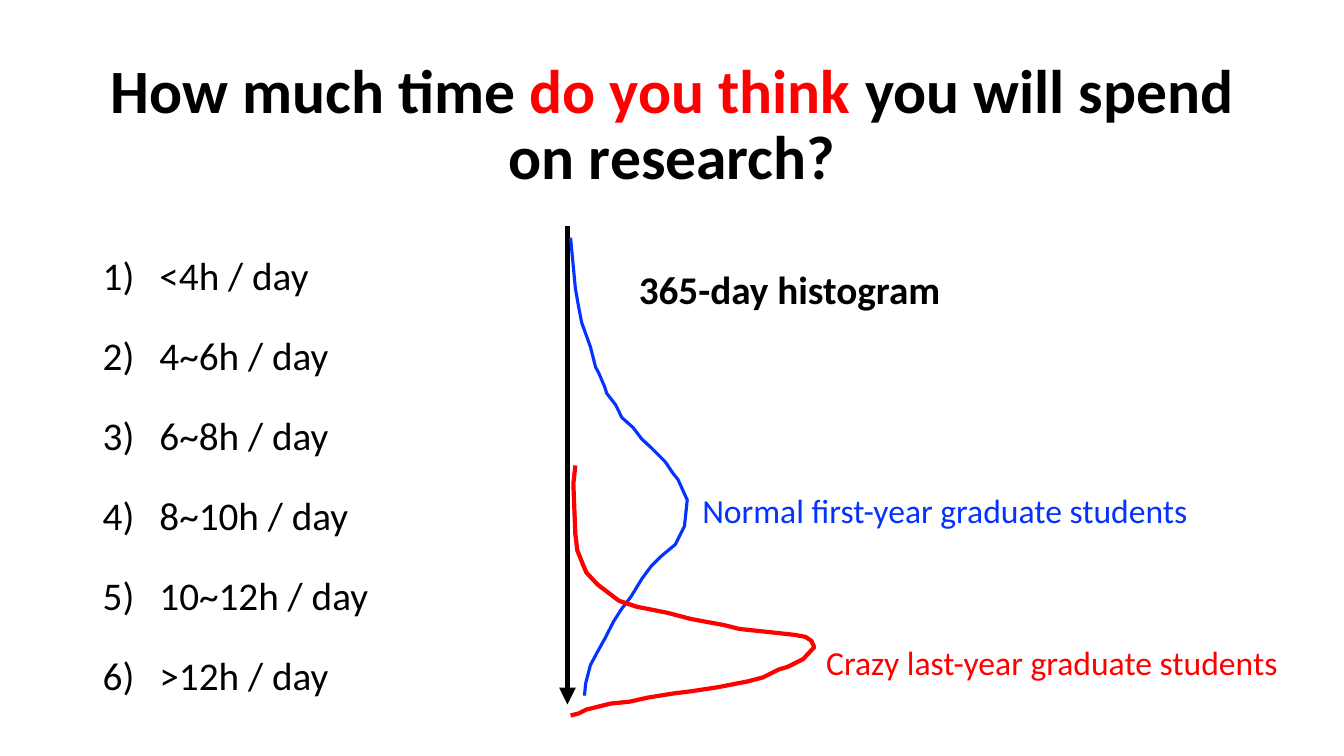
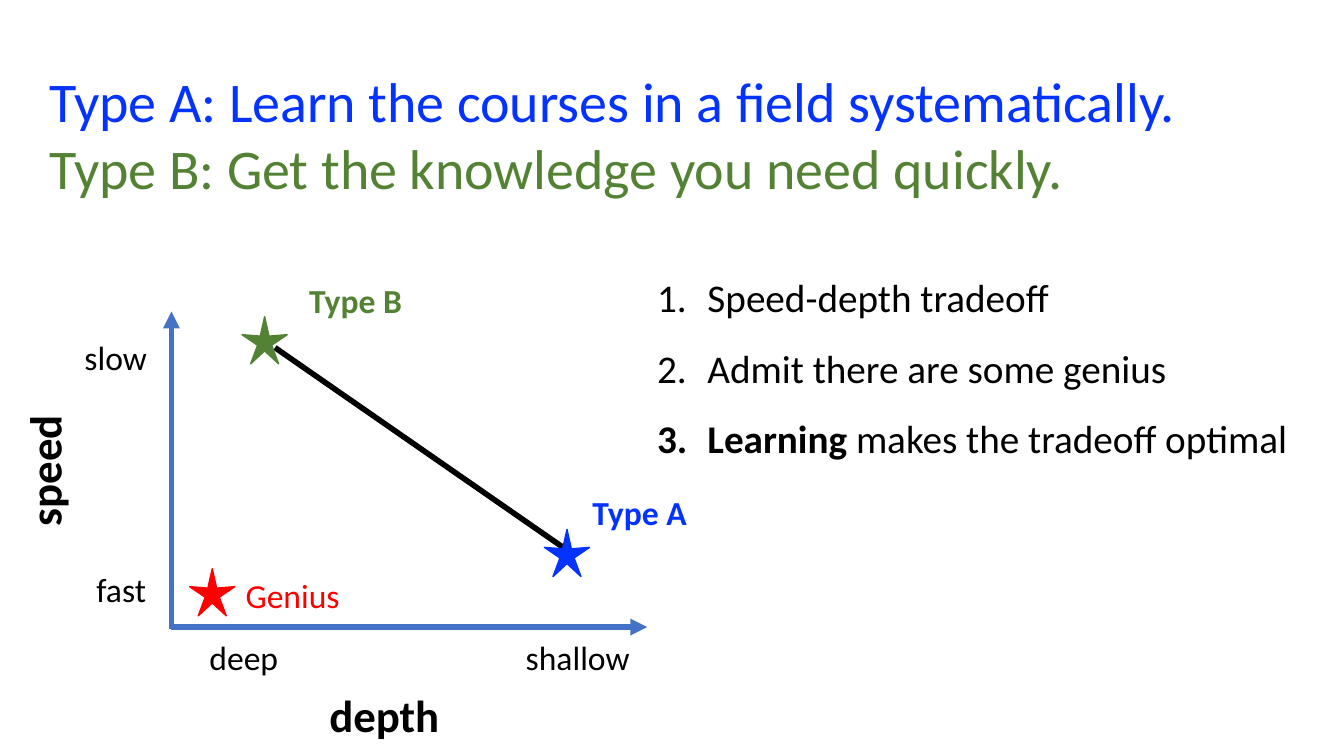
from dataclasses import dataclass

from lxml.etree import SubElement
from pptx import Presentation
from pptx.dml.color import RGBColor as RGB
from pptx.enum.shapes import MSO_CONNECTOR as CONN, MSO_SHAPE as SHAPE
from pptx.enum.text import MSO_ANCHOR as ANCHOR, MSO_AUTO_SIZE as AUTO, PP_ALIGN as ALIGN
from pptx.oxml.ns import qn
from pptx.util import Cm, Pt


@dataclass(frozen=True)
class Theme:
    font: str = "Calibri"
    black: str = "000000"
    red: str = "FF0000"
    blue: str = "0432FF"
    green: str = "548235"
    axis: str = "4472C4"
    title: int = 44
    heading: int = 40
    axis_name: int = 32
    body: int = 28
    label: int = 24
    stroke: float = 4


T = Theme()
TITLE_ONLY = 5


class Deck:
    def __init__(self, theme):
        self.theme = theme
        self.prs = Presentation()
        self.prs.slide_width = Cm(33.87)
        self.prs.slide_height = Cm(19.05)
        self.slide = None

    def new_slide(self):
        self.slide = self.prs.slides.add_slide(self.prs.slide_layouts[TITLE_ONLY])

    def run(self, p, text, size, color=None, bold=False):
        r = p.add_run()
        r.text = text
        r.font.name = self.theme.font
        r.font.size = Pt(size)
        r.font.bold = bold
        r.font.color.rgb = RGB.from_string(color or self.theme.black)

    def paragraphs(self, tf, count):
        return [tf.paragraphs[0]] + [tf.add_paragraph() for _ in range(count - 1)]

    def title(self, box, lines, size, bold=False, align=ALIGN.CENTER,
              anchor=ANCHOR.MIDDLE, spacing=0.9):
        sp = self.slide.shapes.title
        sp.left, sp.top, sp.width, sp.height = map(Cm, box)
        tf = sp.text_frame
        tf.word_wrap = True
        tf.auto_size = AUTO.NONE
        tf.vertical_anchor = anchor
        for p, runs in zip(self.paragraphs(tf, len(lines)), lines):
            p.alignment = align
            p.line_spacing = spacing
            for text, color in runs:
                self.run(p, text, size, color, bold)

    def label(self, box, text, size, color=None, bold=False, upward=False):
        sp = self.slide.shapes.add_textbox(*map(Cm, box))
        tf = sp.text_frame
        tf.word_wrap = False
        tf.auto_size = AUTO.SHAPE_TO_FIT_TEXT
        if upward:
            sp.element.txBody.bodyPr.set("vert", "vert270")
        self.run(tf.paragraphs[0], text, size, color, bold)

    def numbered(self, box, items, scheme, indent, spacing, gap=0):
        tf = self.slide.shapes.add_textbox(*map(Cm, box)).text_frame
        tf.word_wrap = True
        for i, (p, runs) in enumerate(zip(self.paragraphs(tf, len(items)), items)):
            pPr = p._p.get_or_add_pPr()
            pPr.set("marL", str(Cm(indent)))
            pPr.set("indent", str(-Cm(indent)))
            SubElement(pPr, qn("a:buAutoNum"), type=scheme)
            p.line_spacing = spacing
            p.space_before = Pt(gap if i else 0)
            for text, bold in runs:
                self.run(p, text, self.theme.body, bold=bold)

    def line(self, start, end, color=None, arrow=False):
        sp = self.slide.shapes.add_connector(CONN.STRAIGHT, *map(Cm, start + end))
        sp.line.color.rgb = RGB.from_string(color or self.theme.black)
        sp.line.width = Pt(self.theme.stroke)
        if arrow:
            SubElement(sp.line._get_or_add_ln(), qn("a:tailEnd"), type="triangle")
        SubElement(sp.element.spPr, qn("a:effectLst"))

    def curve(self, points, color, width):
        pts = [(Cm(x), Cm(y)) for x, y in points]
        fb = self.slide.shapes.build_freeform(*pts[0])
        fb.add_line_segments(pts[1:], close=False)
        sp = fb.convert_to_shape()
        sp.shadow.inherit = False
        sp.fill.background()
        sp.line.color.rgb = RGB.from_string(color)
        sp.line.width = Pt(width)

    def star(self, pos, color):
        sp = self.slide.shapes.add_shape(SHAPE.STAR_5_POINT, *map(Cm, pos + (1.14, 1.19)))
        sp.adjustments[0] = 0.156
        sp.shadow.inherit = False
        sp.fill.solid()
        sp.fill.fore_color.rgb = sp.line.color.rgb = RGB.from_string(color)
        sp.line.width = Pt(1)


FIRST_YEAR = [
    (14.38, 5.99), (14.5, 7.26), (14.58, 7.72), (14.66, 8.13), (14.88, 8.74),
    (15.01, 9.25), (15.09, 9.4), (15.24, 9.75), (15.29, 9.91), (15.52, 10.21),
    (15.67, 10.52), (15.95, 10.77), (16.18, 11.07), (16.41, 11.28), (16.76, 11.63),
    (16.97, 11.94), (17.09, 12.09), (17.32, 12.6), (17.25, 13.26), (17.02, 13.72),
    (16.66, 14.02), (16.41, 14.27), (16.18, 14.58), (15.9, 15.04), (15.67, 15.34),
    (15.47, 15.65), (15.24, 16.1), (15.04, 16.46), (14.88, 16.76), (14.76, 17.22),
    (14.73, 17.53),
]
LAST_YEAR = [
    (14.5, 11.73), (14.45, 12.19), (14.5, 13.46), (14.55, 13.87), (14.71, 14.27),
    (14.78, 14.43), (15.06, 14.73), (15.6, 15.14), (16.05, 15.29), (16.81, 15.44),
    (17.42, 15.6), (18.24, 15.75), (18.64, 15.85), (19.58, 15.95), (20.04, 16),
    (20.3, 16.05), (20.45, 16.15), (20.52, 16.31), (20.24, 16.61), (19.84, 16.81),
    (19.63, 16.87), (19.23, 17.07), (18.85, 17.17), (18.08, 17.32), (17.42, 17.42),
    (16.94, 17.48), (16.33, 17.58), (15.88, 17.68), (15.39, 17.73), (14.99, 17.83),
    (14.78, 17.88), (14.58, 17.98), (14.38, 18.03),
]


def research_time(d):
    d.new_slide()
    d.title((2.34, 1.02, 29.21, 4.34),
            [[("How much time ", T.black), ("do you think ", T.red),
              ("you will spend on research?", T.black)]],
            T.title, bold=True)
    hours = ["<4h", "4~6h", "6~8h", "8~10h", "10~12h", ">12h"]
    d.numbered((2.34, 5.74, 29.21, 12.09), [[(f"{h} / day", False)] for h in hours],
               "arabicParenR", 1.43, spacing=1.4, gap=10)
    d.line((14.3, 5.69), (14.3, 17.75), arrow=True)
    d.curve(FIRST_YEAR, T.blue, 2.25)
    d.curve(LAST_YEAR, T.red, 3)
    d.label((20.57, 16.05, 11.99, 1.27), "Crazy last-year graduate students", T.label, T.red)
    d.label((17.45, 12.22, 12.85, 1.27), "Normal first-year graduate students", T.label, T.blue)
    d.label((15.85, 6.55, 8.2, 1.45), "365-day histogram", T.body, bold=True)


def learning_types(d):
    d.new_slide()
    d.title((0.99, 1.55, 31, 3.68),
            [[("Type A: Learn the courses in a field systematically.", T.blue)],
             [("Type B: Get the knowledge you need quickly.", T.green)]],
            T.heading, align=ALIGN.LEFT, anchor=ANCHOR.TOP, spacing=1.0)
    d.line((4.32, 15.8), (16.31, 15.8), T.axis, arrow=True)
    d.line((4.32, 15.85), (4.32, 7.85), T.axis, arrow=True)
    d.label((0.3, 10.44, 1.88, 3.07), "speed", T.axis_name, bold=True, upward=True)
    d.label((8.05, 17.2, 3.3, 1.63), "depth", T.axis_name, bold=True)
    ticks = [("fast", 2.18, 14.2, 1.78), ("slow", 1.88, 8.36, 2.11),
             ("deep", 5.03, 15.93, 2.26), ("shallow", 13, 15.93, 3.15)]
    for text, x, y, w in ticks:
        d.label((x, y, w, 1.27), text, T.label)
    d.line((6.93, 8.76), (14.33, 13.89))
    learners = [("Type B", T.green, True, (6.1, 7.98), (7.54, 6.93)),
                ("Type A", T.blue, True, (13.72, 13.34), (14.68, 12.27)),
                ("Genius", T.red, False, (4.78, 14.33), (5.94, 14.35))]
    for text, color, bold, star, pos in learners:
        d.label(pos + (2.92, 1.27), text, T.label, color, bold)
        d.star(star, color)
    d.numbered((16.31, 6.17, 16.9, 5.46),
               [[("Speed-depth tradeoff", False)],
                [("Admit there are some genius", False)],
                [("Learning ", True), ("makes the tradeoff optimal", False)]],
               "arabicPeriod", 1.27, spacing=1.5)


def main():
    d = Deck(T)
    research_time(d)
    learning_types(d)
    d.prs.save("out.pptx")


if __name__ == "__main__":
    main()
